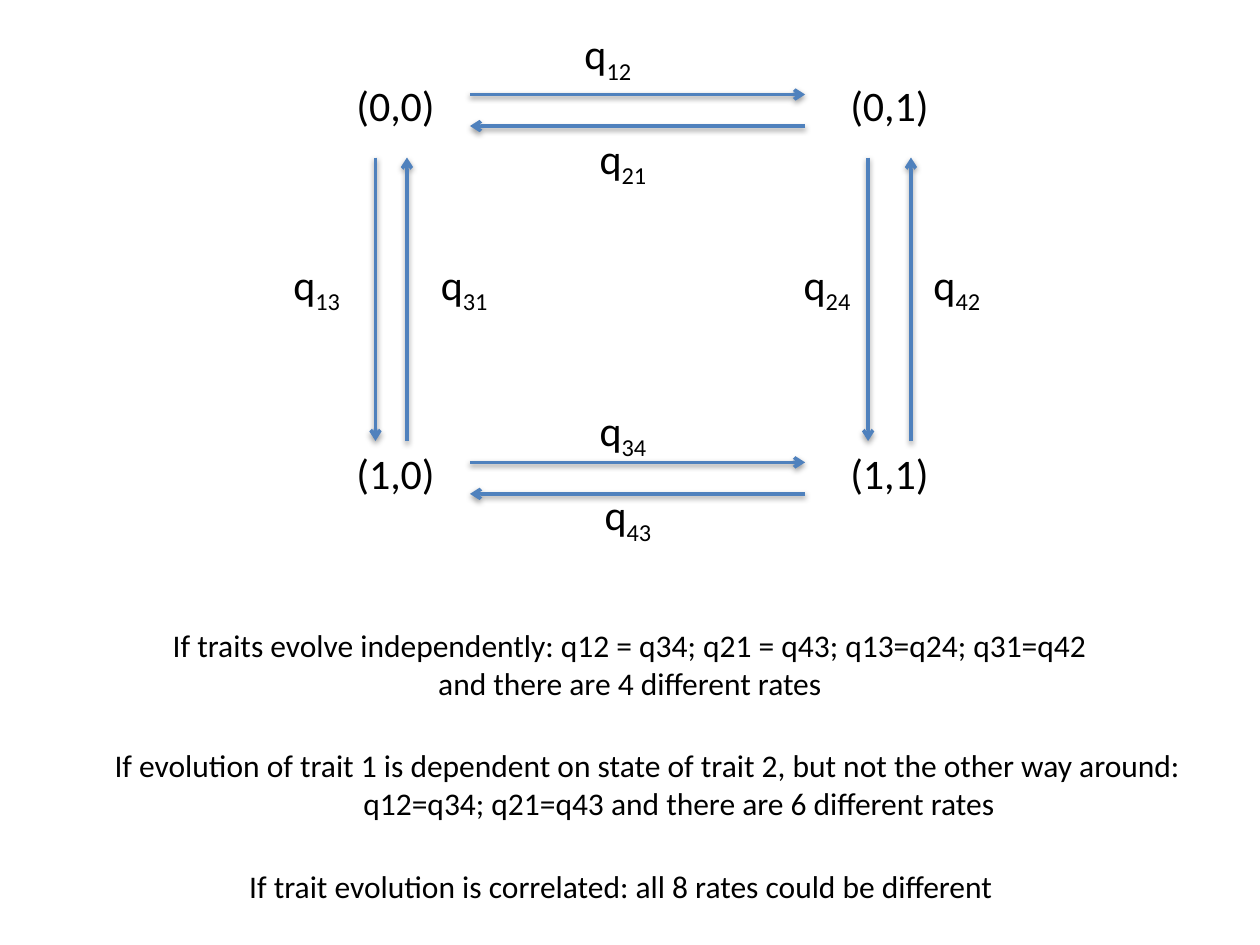
from dataclasses import dataclass

from lxml import etree
from pptx import Presentation
from pptx.dml.color import RGBColor
from pptx.enum.shapes import MSO_CONNECTOR
from pptx.enum.text import MSO_AUTO_SIZE, PP_ALIGN
from pptx.oxml import parse_xml
from pptx.oxml.ns import qn
from pptx.slide import Slide
from pptx.util import Inches, Pt

STRAIGHT = MSO_CONNECTOR.STRAIGHT
CENTER = PP_ALIGN.CENTER
LEFT = PP_ALIGN.LEFT
FIT_SHAPE = MSO_AUTO_SIZE.SHAPE_TO_FIT_TEXT

FONT = "Calibri"
BLACK = "000000"
BLUE = "4F81BD"
BLANK_LAYOUT = 6

ARROW_LEFT, ARROW_RIGHT = 3.73, 6.39
ARROW_TOP, ARROW_BOTTOM = 1.25, 3.5
STATE_COLUMNS = (2.73, 6.65)
STATE_ROWS = (0.58, 3.5)

SHADOW_XML = (
    '<a:effectLst xmlns:a="http://schemas.openxmlformats.org/drawingml/2006/main">'
    '<a:outerShdw blurRad="40000" dist="20000" dir="5400000" rotWithShape="0">'
    '<a:srgbClr val="000000"><a:alpha val="38000"/></a:srgbClr>'
    "</a:outerShdw></a:effectLst>"
)


@dataclass
class Rate:
    """A transition rate: its subscript, label position and arrow ends."""
    subscript: str
    label: tuple[float, float]
    start: tuple[float, float]
    end: tuple[float, float]


@dataclass
class Note:
    lines: list[str]
    box: tuple[float, float, float, float]
    alignment: PP_ALIGN = CENTER
    wrap: bool = False


def rightward(subscript: str, label: tuple[float, float], y: float) -> Rate:
    return Rate(subscript, label, (ARROW_LEFT, y), (ARROW_RIGHT, y))


def leftward(subscript: str, label: tuple[float, float], y: float) -> Rate:
    return Rate(subscript, label, (ARROW_RIGHT, y), (ARROW_LEFT, y))


def downward(subscript: str, label_left: float, x: float) -> Rate:
    return Rate(subscript, (label_left, 2), (x, ARROW_TOP), (x, ARROW_BOTTOM))


def upward(subscript: str, label_left: float, x: float) -> Rate:
    return Rate(subscript, (label_left, 2), (x, ARROW_BOTTOM), (x, ARROW_TOP))


RATES = [
    rightward("12", (4.54, 0.17), 0.75),
    leftward("21", (4.66, 1), 1),
    rightward("34", (4.66, 3.16), 3.67),
    leftward("43", (4.7, 3.83), 3.92),
    downward("13", 2.23, 2.98),
    upward("31", 3.4, 3.23),
    downward("24", 6.28, 6.89),
    upward("42", 7.31, 7.23),
]

NOTES = [
    Note(["If traits evolve independently: q12 = q34; q21 = q43; q13=q24; q31=q42 "
          "and there are 4 different rates"], (1.25, 4.92, 7.5, 0.71), wrap=True),
    Note(["If evolution of trait 1 is dependent on state of trait 2, "
          "but not the other way around:",
          "q12=q34; q21=q43 and there are 6 different rates"],
         (0.75, 5.87, 8.78, 0.71)),
    Note(["If trait evolution is correlated: all 8 rates could be different"],
         (1.88, 6.83, 6.2, 0.4), LEFT),
]


def color(value: str) -> RGBColor:
    return RGBColor.from_string(value)


def add_text(slide: Slide, lines: list[str], box: tuple[float, float, float, float],
             size: float, alignment: PP_ALIGN = LEFT, wrap: bool = False):
    """Add a text box whose lines after the first are one level deeper."""
    text_frame = slide.shapes.add_textbox(*map(Inches, box)).text_frame
    text_frame.text = "\n".join(lines)
    text_frame.word_wrap = wrap
    text_frame.auto_size = FIT_SHAPE
    for level, paragraph in enumerate(text_frame.paragraphs):
        paragraph.level = level
        paragraph.alignment = alignment
        for run in paragraph.runs:
            format_run(run, size)
    return text_frame


def format_run(run, size: float) -> None:
    run.font.name = FONT
    run.font.size = Pt(size)
    run.font.color.rgb = color(BLACK)


def add_arrow(slide: Slide, rate: Rate) -> None:
    connector = slide.shapes.add_connector(
        STRAIGHT, *map(Inches, rate.start + rate.end))
    connector.line.color.rgb = color(BLUE)
    connector.line.width = Pt(2)
    properties = connector._element.spPr
    etree.SubElement(properties.find(qn("a:ln")), qn("a:tailEnd"), type="arrow")
    properties.append(parse_xml(SHADOW_XML))


def add_rate_label(slide: Slide, rate: Rate) -> None:
    text_frame = add_text(slide, ["q"], (*rate.label, 0.61, 0.5), 24)
    run = text_frame.paragraphs[0].add_run()
    run.text = rate.subscript
    format_run(run, 24)
    run.font._element.set("baseline", "-25000")


def main() -> None:
    presentation = Presentation()
    presentation.slide_width = Inches(10)
    presentation.slide_height = Inches(7.5)
    slide = presentation.slides.add_slide(presentation.slide_layouts[BLANK_LAYOUT])

    for first, top in enumerate(STATE_ROWS):
        for second, left in enumerate(STATE_COLUMNS):
            add_text(slide, [f"({first},{second})"], (left, top, 0.83, 0.5), 24)
    for rate in RATES:
        add_arrow(slide, rate)
        add_rate_label(slide, rate)
    for note in NOTES:
        add_text(slide, note.lines, note.box, 18, note.alignment, note.wrap)

    presentation.save("out.pptx")


if __name__ == "__main__":
    main()
